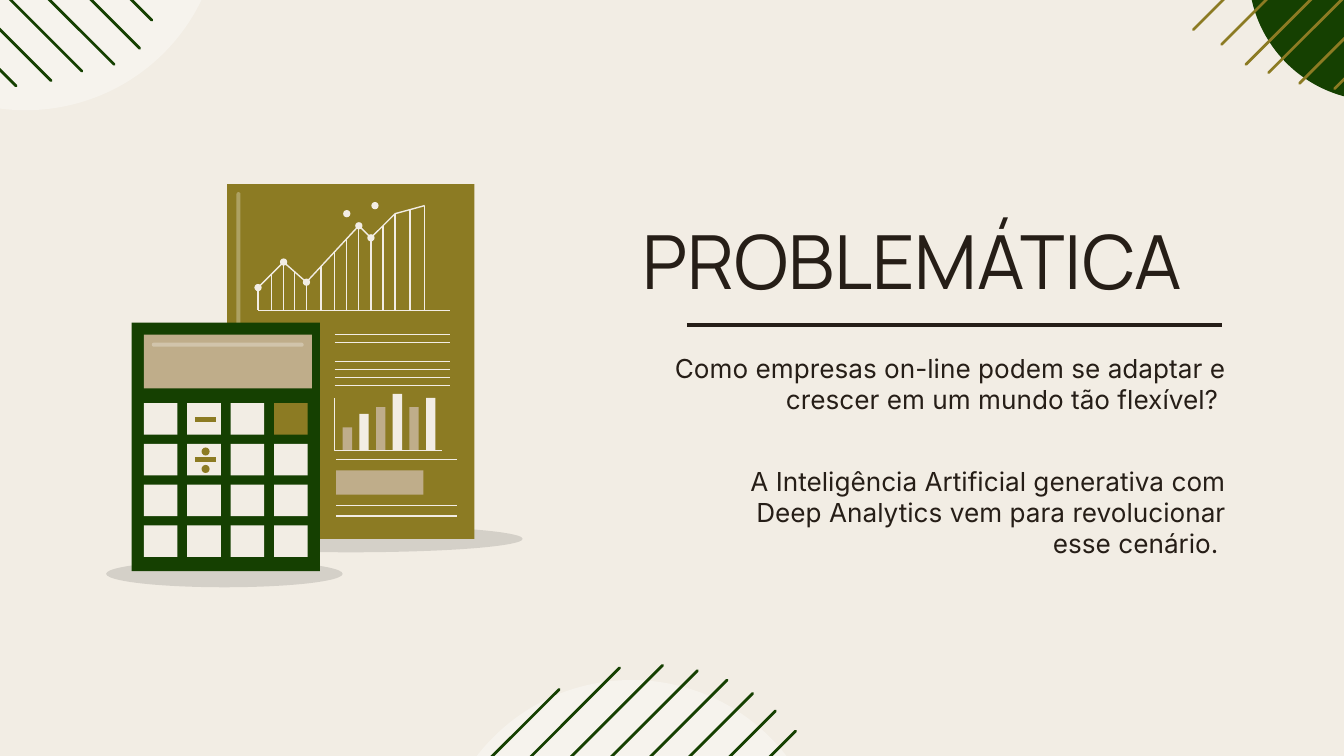
"""Build the "Problemática" slide; lengths are percentages of the slide width."""
from lxml.etree import SubElement
from pptx import Presentation
from pptx.dml.color import RGBColor
from pptx.enum.shapes import MSO_CONNECTOR, MSO_SHAPE
from pptx.enum.text import MSO_ANCHOR, PP_ALIGN
from pptx.oxml.ns import qn
from pptx.util import Inches, Pt

COLORS = {"cream": "F2EDE4", "green": "154001", "olive": "8C7B23", "sand": "BFAD8A",
          "ink": "261E17", "white": "FFFFFF", "black": "000000"}
WIDTH = Inches(10)

TEXTS = [
    ("PROBLEMÁTICA", (46.8, 14.9, 45.4, 8.8), "Manrope", 40, MSO_ANCHOR.MIDDLE, (0, 4.3)),
    ("Como empresas on-line podem se adaptar e crescer em um mundo tão flexível? ",
     (48.3, 25.2, 43.9, 6.8), "Inter", 14, MSO_ANCHOR.TOP, (1, 1)),
    ("A Inteligência Artificial generativa com Deep Analytics vem para revolucionar esse cenário. ",
     (53, 33.6, 39.2, 8.8), "Inter", 14, MSO_ANCHOR.TOP, (1, 1)),
]

CORNERS = [
    {"circle": (92.9, -11.7, 19.2, 19.2), "fill": "green", "alpha": 100,
     "stroke": "olive", "direction": (1, -1),
     "stripes": [(88.8, 2.2, 20.4), (90.9, 3.3, 19.9), (92.7, 4.8, 19.5),
                 (94.4, 5.4, 18.6), (96.7, 6.2, 17.1), (99.3, 6.6, 14.9)]},
    {"circle": (-12.6, -20.6, 29, 28.8), "fill": "white", "alpha": 36,
     "stroke": "green", "direction": (-1, -1),
     "stripes": [(11.3, 1.5, 19.9), (10.4, 3.6, 20.5), (8.5, 4.8, 20),
                 (6.1, 5.3, 18.6), (3.8, 6, 17.1), (1.2, 6.4, 14.9)]},
    {"circle": (32.5, 50.6, 29, 28.8), "fill": "white", "alpha": 36,
     "stroke": "green", "direction": (-1, 1),
     "stripes": [(59.2, 54.4, 19.9), (57.7, 52.9, 20.5), (56, 51.6, 20),
                 (54.1, 50.6, 18.6), (51.9, 49.9, 17.1), (49.3, 49.5, 14.9),
                 (46.1, 49.7, 11.6), (41.6, 51.3, 5.4)]},
]

TREND = [(19.2, 21.4), (21.1, 19.5), (22.8, 21), (26.7, 16.8), (27.6, 17.7),
         (29.4, 15.9), (31.6, 15.3)]
TREND_BASE = 23.1
STEMS = [19.2, 20.2, 21.1, 21.9, 22.8, 23.9, 24.9, 25.8, 26.7, 27.6, 28.5, 29.4, 30.5, 31.6]
DOTS = TREND[:5] + [(25.8, 15.9), (27.9, 15.3)]
REPORT_RULES = [(19.2, 33.5, TREND_BASE)]
REPORT_RULES += [(24.9, 33.5, y) for y in (24.9, 25.5, 26.9, 27.5, 28.1, 28.7)]
REPORT_RULES += [(25, 34, y) for y in (34.2, 37.6, 38.4)]
BARS = [1.7, 2.7, 3.2, 4.2, 3.2, 3.9]
BAR_BASE, BAR_LEFT, BAR_STEP, BAR_WIDTH = 33.5, 25.5, 1.24, 0.7
KEYS = {"left": 10.7, "top": 30, "column": 3.23, "row": 3.03, "width": 2.5, "height": 2.35}
OLIVE_KEY = (0, 3)


def length(percent):
    return int(WIDTH * percent / 100)


def paint(fill, color, alpha=100):
    fill.solid()
    fill.fore_color.rgb = RGBColor.from_string(COLORS[color])
    if alpha < 100:
        tint = fill._xPr.find(qn("a:solidFill"))[0]
        SubElement(tint, qn("a:alpha"), val=str(alpha * 1000))


def block(box, color, alpha=100, kind=MSO_SHAPE.RECTANGLE):
    shape = slide.shapes.add_shape(kind, *map(length, box))
    shape.shadow.inherit = False
    shape.line.fill.background()
    paint(shape.fill, color, alpha)
    return shape


def oval(box, color, alpha=100):
    return block(box, color, alpha, MSO_SHAPE.OVAL)


def gloss(box):
    block(box, "white", 29, MSO_SHAPE.ROUNDED_RECTANGLE).adjustments[0] = 0.5


def stroke(start, end, color="cream", weight=0.75, cap="flat"):
    line = slide.shapes.add_connector(MSO_CONNECTOR.STRAIGHT, *map(length, start + end))
    paint(line.line.fill, color)
    line.line.width = Pt(weight)
    line.line._get_or_add_ln().set("cap", cap)
    SubElement(line._element.spPr, qn("a:effectLst"))


def polyline(points):
    first, *rest = [(length(x), length(y)) for x, y in points]
    builder = slide.shapes.build_freeform(*first)
    builder.add_line_segments(rest, close=False)
    shape = builder.convert_to_shape()
    shape.shadow.inherit = False
    shape.fill.background()
    paint(shape.line.fill, "cream")
    shape.line.width = Pt(0.75)


def trend_height(x):
    for (x1, y1), (x2, y2) in zip(TREND, TREND[1:]):
        if x <= x2:
            return y1 + (y2 - y1) * (x - x1) / (x2 - x1)


def draw_corner(corner):
    oval(corner["circle"], corner["fill"], corner["alpha"])
    dx, dy = corner["direction"]
    for x, y, reach in corner["stripes"]:
        stroke((x, y), (x + dx * reach, y + dy * reach), corner["stroke"], 1.5, "rnd")


def draw_report():
    oval((13.3, 39.1, 25.6, 2), "black", 12)
    block((16.9, 13.7, 18.4, 26.4), "olive")
    gloss((17.6, 14.3, 0.3, 11.3))
    polyline(TREND)
    for x in STEMS:
        stroke((x, trend_height(x)), (x, TREND_BASE))
    for x, y in DOTS:
        oval((x - 0.27, y - 0.27, 0.54, 0.54), "cream")
    for left, right, y in REPORT_RULES:
        stroke((left, y), (right, y))
    for i, height in enumerate(BARS):
        block((BAR_LEFT + i * BAR_STEP, BAR_BASE - height, BAR_WIDTH, height),
              "cream" if i % 2 else "sand")
    polyline([(24.9, 29.6), (24.9, BAR_BASE), (32.9, BAR_BASE)])
    block((25, 35, 6.5, 1.8), "sand")


def draw_calculator():
    oval((7.9, 41.7, 17.6, 2), "black", 12)
    block((9.8, 24, 14, 18.5), "green")
    block((10.7, 24.9, 12.5, 4), "sand")
    gloss((11.3, 25.5, 11.3, 0.3))
    for row in range(4):
        for column in range(4):
            block((KEYS["left"] + column * KEYS["column"], KEYS["top"] + row * KEYS["row"],
                   KEYS["width"], KEYS["height"]),
                  "olive" if (row, column) == OLIVE_KEY else "cream")
    for y in (31.2, 34.2):
        stroke((14.5, y), (16.1, y), "olive", 2.85)
    for y in (33.3, 34.6):
        oval((15, y, 0.6, 0.6), "olive")


def write(text, box, font, size, anchor, margins):
    frame = slide.shapes.add_textbox(*map(length, box)).text_frame
    frame.word_wrap = True
    frame.vertical_anchor = anchor
    frame.margin_left, frame.margin_right = map(length, margins)
    frame.margin_top = frame.margin_bottom = length(1)
    paragraph = frame.paragraphs[0]
    paragraph.text = text
    paragraph.alignment = PP_ALIGN.RIGHT
    paragraph.font.name = font
    paragraph.font.size = Pt(size)
    paragraph.font.color.rgb = RGBColor.from_string(COLORS["ink"])


deck = Presentation()
deck.slide_width, deck.slide_height = WIDTH, WIDTH * 9 // 16
slide = deck.slides.add_slide(deck.slide_layouts[6])
paint(slide.background.fill, "cream")
for corner in CORNERS:
    draw_corner(corner)
stroke((51.1, 24.2), (90.9, 24.2), "ink", 2.25)
draw_report()
draw_calculator()
for entry in TEXTS:
    write(*entry)
deck.save("out.pptx")
